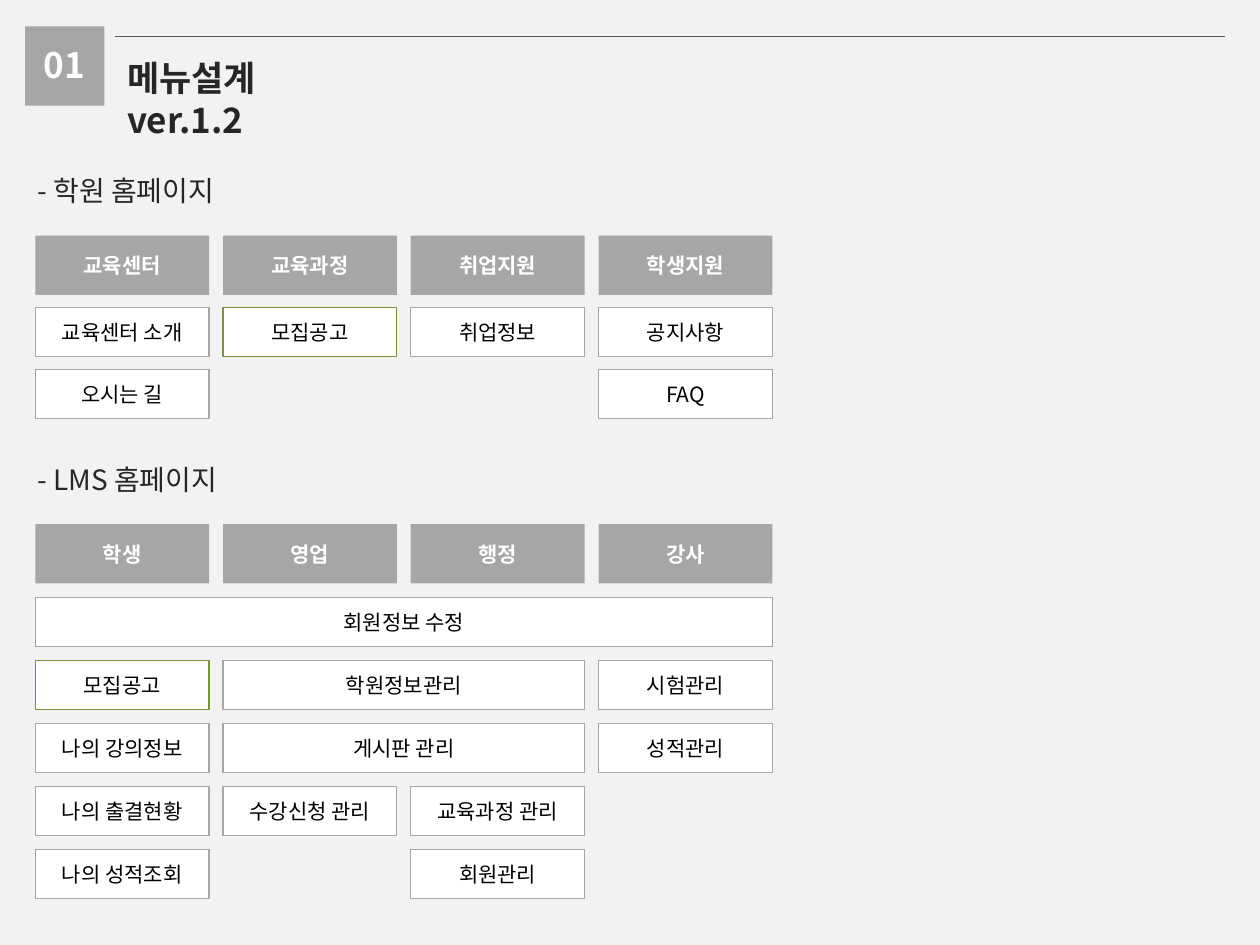
from pptx import Presentation
from pptx.dml.color import RGBColor
from pptx.enum.shapes import MSO_CONNECTOR, MSO_SHAPE
from pptx.enum.text import MSO_ANCHOR, MSO_AUTO_SIZE, PP_ALIGN
from pptx.oxml.ns import qn
from pptx.util import Inches, Pt
from lxml.etree import SubElement

FONT = "Noto Sans CJK KR"
GRAY, GREEN, WHITE, BLACK, DARK = "A6A6A6", "77933C", "FFFFFF", "000000", "262626"
LEFT, COL_STEP, BOX_W, HEAD_H, ITEM_H = 0.28, 1.49, 1.38, 0.47, 0.39
HIGHLIGHT = "모집공고"

LABELS = [
    ("메뉴설계\vver.1.2", (0.91, 0.4, 2.28, 0.44), dict(size=20, bold=True, color=DARK)),
    ("01", (0.25, 0.3, 0.53, 0.44), dict(size=20, bold=True, color=WHITE)),
    ("- 학원 홈페이지", (0.2, 1.33, 1.8, 0.37), dict(size=16, color=DARK)),
    ("- LMS 홈페이지", (0.2, 3.62, 1.78, 0.37), dict(size=16, color=DARK)),
]
# Items are (text, row, first column, columns spanned).
SECTIONS = [
    dict(top=1.87, first_row=2.44, step=0.49,
         heads=["교육센터", "교육과정", "취업지원", "학생지원"],
         items=[("교육센터 소개", 0, 0, 1), ("모집공고", 0, 1, 1),
                ("취업정보", 0, 2, 1), ("공지사항", 0, 3, 1),
                ("오시는 길", 1, 0, 1), ("FAQ", 1, 3, 1)]),
    dict(top=4.16, first_row=4.74, step=0.5,
         heads=["학생", "영업", "행정", "강사"],
         items=[("회원정보 수정", 0, 0, 4),
                ("모집공고", 1, 0, 1), ("학원정보관리", 1, 1, 2), ("시험관리", 1, 3, 1),
                ("나의 강의정보", 2, 0, 1), ("게시판 관리", 2, 1, 2), ("성적관리", 2, 3, 1),
                ("나의 출결현황", 3, 0, 1), ("수강신청 관리", 3, 1, 1), ("교육과정 관리", 3, 2, 1),
                ("나의 성적조회", 4, 0, 1), ("회원관리", 4, 2, 1)]),
]


def rgb(color):
    """Turn a hex string into a colour."""
    return RGBColor.from_string(color)


def write(sp, text, size=12, bold=False, color=BLACK):
    """Put formatted text into a shape."""
    p = sp.text_frame.paragraphs[0]
    p.text = text
    for r in p.runs:
        for name, value in dict(name=FONT, size=Pt(size), bold=bold).items():
            setattr(r.font, name, value)
        r.font.color.rgb = rgb(color)
        SubElement(r.font._element, qn("a:ea")).set("typeface", FONT)
    return p


def add_box(s, at, fill, line=None, text="", **style):
    """Add a filled rectangle with centred text."""
    sp = s.shapes.add_shape(MSO_SHAPE.RECTANGLE, *map(Inches, at))
    sp.shadow.inherit = False
    sp.fill.solid()
    sp.fill.fore_color.rgb = rgb(fill)
    if line:
        sp.line.color.rgb = rgb(line)
        sp.line.width = Pt(0.75)
    else:
        sp.line.fill.background()
    if text:
        sp.text_frame.vertical_anchor = MSO_ANCHOR.MIDDLE
        write(sp, text, **style).alignment = PP_ALIGN.CENTER


def add_label(s, text, at, style):
    """Add a text box that does not wrap."""
    sp = s.shapes.add_textbox(*map(Inches, at))
    sp.text_frame.word_wrap = False
    sp.text_frame.auto_size = MSO_AUTO_SIZE.SHAPE_TO_FIT_TEXT
    write(sp, text, **style)


def add_section(s, top, first_row, step, heads, items):
    """Lay out one menu table on the column grid."""
    for col, text in enumerate(heads):
        add_box(s, (LEFT + col * COL_STEP, top, BOX_W, HEAD_H), GRAY,
                text=text, bold=True, color=WHITE)
    for text, row, col, span in items:
        at = (LEFT + col * COL_STEP, first_row + row * step,
              BOX_W + (span - 1) * COL_STEP, ITEM_H)
        add_box(s, at, WHITE, GREEN if text == HIGHLIGHT else GRAY, text)


def main():
    """Build and save the slide."""
    prs = Presentation()
    prs.slide_width, prs.slide_height = Inches(10), Inches(7.5)
    s = prs.slides.add_slide(prs.slide_layouts[6])
    s.background.fill.solid()
    s.background.fill.fore_color.rgb = rgb("F2F2F2")

    add_box(s, (0.2, 0.21, 0.63, 0.63), GRAY)
    rule = s.shapes.add_connector(MSO_CONNECTOR.STRAIGHT,
                                  *map(Inches, (0.91, 0.29, 9.72, 0.29)))
    rule.line.color.rgb = rgb("595959")
    rule.line.width = Pt(0.75)
    SubElement(rule._element.spPr, qn("a:effectLst"))

    for label in LABELS:
        add_label(s, *label)
    for section in SECTIONS:
        add_section(s, **section)
    prs.save("out.pptx")


if __name__ == "__main__":
    main()
